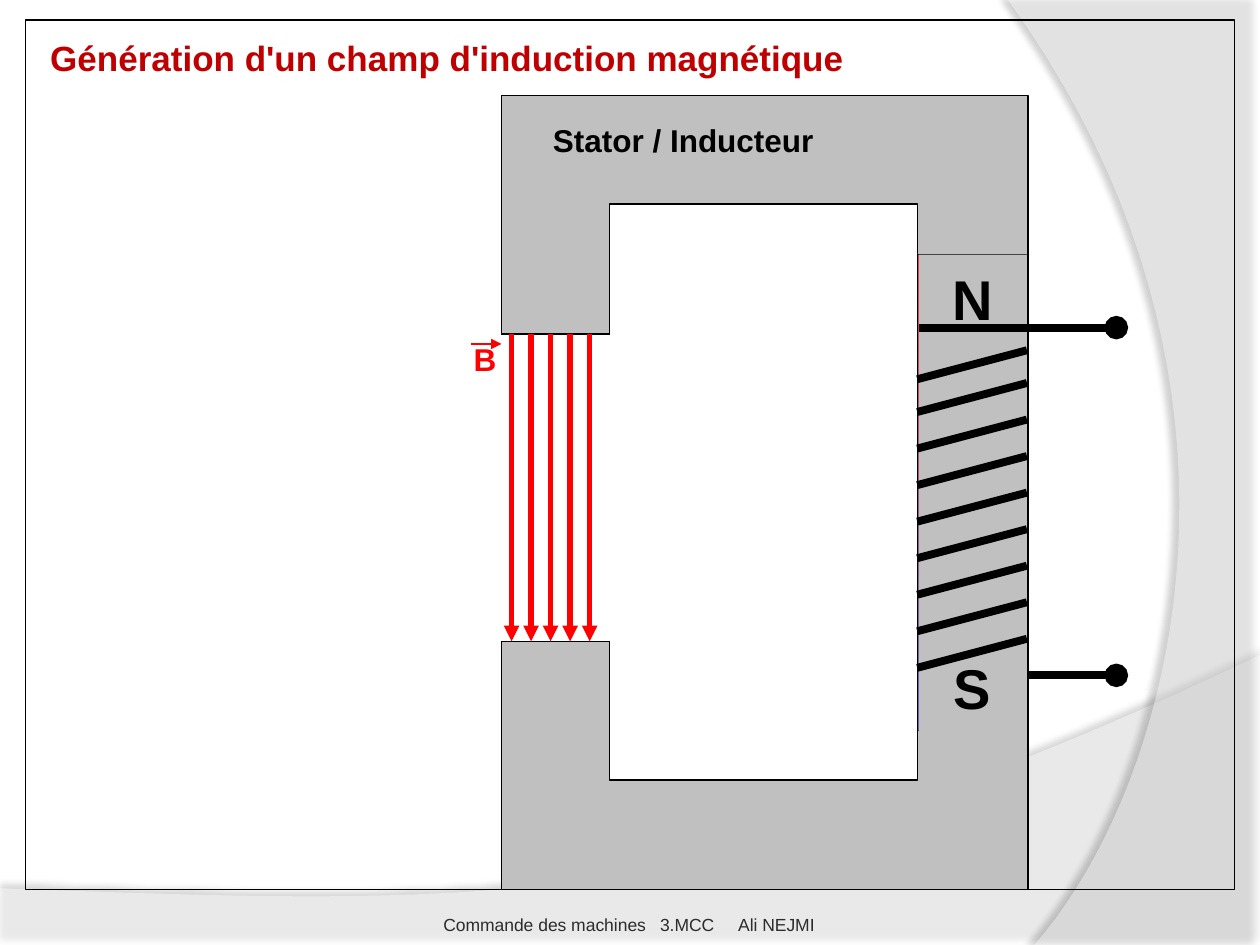
from collections import namedtuple
from dataclasses import dataclass

from pptx import Presentation
from pptx.dml.color import RGBColor
from pptx.enum.shapes import MSO_CONNECTOR, MSO_SHAPE
from pptx.enum.text import MSO_ANCHOR as Anchor, PP_ALIGN as Align
from pptx.oxml.ns import qn
from pptx.oxml.xmlchemy import OxmlElement
from pptx.util import Inches, Pt

Box = namedtuple("Box", "left top width height")


@dataclass(frozen=True)
class Theme:
    """Colours, font and sizes of the slide."""
    font: str = "Arial"
    black: str = "000000"
    white: str = "FFFFFF"
    iron: str = "C0C0C0"
    north: str = "FF0000"
    south: str = "3333CC"
    title: str = "C00000"
    footer: str = "2C2C2C"
    pole_size: int = 32
    title_size: int = 20
    label_size: int = 18
    footer_size: int = 10
    thin: float = 0.75
    field_line: float = 3
    wire: float = 4.5


THEME = Theme()


def rgb(colour):
    """Return the colour object of a hex string."""
    return RGBColor.from_string(colour)


def add_child(parent, tag, **attributes):
    """Append a DrawingML element and return it."""
    child = OxmlElement(tag)
    for name, value in attributes.items():
        child.set(name, str(value))
    parent.append(child)
    return child


def add_rectangle(slide, box, fill=None, line=None):
    """Add a flat rectangle with an optional fill and outline."""
    shape = slide.shapes.add_shape(MSO_SHAPE.RECTANGLE, *map(Inches, box))
    shape.shadow.inherit = False
    if fill:
        shape.fill.solid()
        shape.fill.fore_color.rgb = rgb(fill)
    else:
        shape.fill.background()
    if line:
        shape.line.color.rgb = rgb(line)
        shape.line.width = Pt(THEME.thin)
    else:
        shape.line.fill.background()
    return shape


def add_line(slide, start, end, colour=THEME.black, width=THEME.thin, head=None, tail=None):
    """Add a straight connector with optional ends."""
    connector = slide.shapes.add_connector(MSO_CONNECTOR.STRAIGHT, *map(Inches, (*start, *end)))
    connector.line.color.rgb = rgb(colour)
    connector.line.width = Pt(width)
    properties = connector._element.spPr
    for tag, kind in (("a:headEnd", head), ("a:tailEnd", tail)):
        if kind:
            add_child(properties.find(qn("a:ln")), tag, type=kind)
    add_child(properties, "a:effectLst")
    return connector


def write_text(shape, *lines, size, colour=THEME.black, bold=True, align=Align.LEFT,
               anchor=Anchor.TOP, wrap=False, gap=0, insets=(0.1, 0.05, 0.1, 0.05), tabs=()):
    """Write paragraphs into a shape, with a gap before each but the first."""
    frame = shape.text_frame
    frame.word_wrap = wrap
    frame.vertical_anchor = anchor
    frame.margin_left, frame.margin_top, frame.margin_right, frame.margin_bottom = map(Inches, insets)
    for index, line in enumerate(lines):
        paragraph = frame.add_paragraph() if index else frame.paragraphs[0]
        paragraph.alignment = align
        if index and gap:
            paragraph.space_before = Pt(gap)
        if tabs:
            tab_list = add_child(paragraph._p.get_or_add_pPr(), "a:tabLst")
            for position in tabs:
                add_child(tab_list, "a:tab", pos=int(Inches(position)), algn="l")
        run = paragraph.add_run()
        run.text = line
        run.font.name = THEME.font
        run.font.size = Pt(size)
        run.font.bold = bold
        run.font.color.rgb = rgb(colour)


def add_text(slide, box, text, **style):
    """Add a text box."""
    write_text(slide.shapes.add_textbox(*map(Inches, box)), text, **style)


def curve(start, first, second, end, steps=40):
    """Return the points of a cubic curve after its start."""
    points = []
    for step in range(1, steps + 1):
        t = step / steps
        weights = ((1 - t) ** 3, 3 * t * (1 - t) ** 2, 3 * t * t * (1 - t), t ** 3)
        points.append(tuple(sum(w * p for w, p in zip(weights, axis))
                            for axis in zip(start, first, second, end)))
    return points


def add_wave(slide, points, opacity, shadow_opacity, blur, distance, direction):
    """Add a translucent white outline with a soft shadow."""
    points = [tuple(map(Inches, point)) for point in points]
    builder = slide.shapes.build_freeform(*points[0], scale=1.0)
    builder.add_line_segments(points[1:], close=True)
    shape = builder.convert_to_shape()
    shape.fill.solid()
    shape.fill.fore_color.rgb = rgb(THEME.white)
    shape.line.fill.background()
    shape.shadow.inherit = False
    properties = shape._element.spPr
    add_child(properties.find(".//" + qn("a:srgbClr")), "a:alpha", val=opacity * 1000)
    shadow = add_child(properties.find(qn("a:effectLst")), "a:outerShdw", blurRad=int(Pt(blur)),
                       dist=int(Pt(distance)), dir=direction * 60000, algn="ctr", rotWithShape=0)
    colour = add_child(shadow, "a:srgbClr", val=THEME.black)
    add_child(colour, "a:alpha", val=shadow_opacity * 1000)


def draw_backdrop(slide, box):
    """Draw the bottom and right waves."""
    right, bottom = box.left + box.width, box.top + box.height
    swell = curve((right, 5.2), (5.59, 7.29), (3.91, 7.19), (box.left, 7.05))
    add_wave(slide, [(box.left, bottom), (right, bottom), (right, 5.2), *swell], 45, 35, 4, 3.5, 270)
    arc = curve((8.21, bottom), (9.35, 6.19), (10.18, 3), (8, box.top))
    add_wave(slide, [(right, box.top), (right, bottom), (8.21, bottom), *arc], 40, 45, 4, 4, 180)


def draw_stator(slide, box, gap):
    """Draw the iron core with its window and the air gap."""
    leg = 0.86
    add_rectangle(slide, box, THEME.iron, THEME.black)
    window = Box(box.left + leg, box.top + leg, box.width - 2 * leg - 0.02, box.height - 2 * leg - 0.01)
    add_rectangle(slide, window, THEME.white, THEME.black)
    add_rectangle(slide, gap, THEME.white)
    for y in (gap.top, gap.top + gap.height):
        add_line(slide, (window.left, y), (box.left, y))


def draw_field(slide, box):
    """Draw the evenly spaced induction lines and the B vector label."""
    count = 5
    for index in range(count):
        x = box.left + index * box.width / (count - 1)
        add_line(slide, (x, box.top), (x, box.top + box.height), THEME.north,
                 THEME.field_line, tail="triangle")
    add_text(slide, Box(box.left - 0.4, box.top, 0.38, 0.4), "B", size=THEME.label_size, colour=THEME.north)
    add_line(slide, (box.left - 0.32, box.top + 0.08), (box.left - 0.08, box.top + 0.08),
             THEME.north, tail="triangle")


def draw_coil(slide, box):
    """Draw the wound pole piece with its turns and terminals."""
    magnet = add_rectangle(slide, box, THEME.iron, THEME.black)
    magnet.fill.gradient()
    magnet.fill.gradient_angle = 270
    for stop, position, colour in zip(magnet.fill.gradient_stops, (0, 1), (THEME.north, THEME.south)):
        stop.position = position
        stop.color.rgb = rgb(colour)
    left, right = box.left, box.left + box.width
    terminal = {"width": THEME.wire, "head": "oval"}
    add_line(slide, (8.86, box.top + 3.34), (left + 0.01, box.top + 3.34), **terminal)
    core = add_rectangle(slide, Box(left + 0.01, box.top, box.width - 0.01, box.height), THEME.iron)
    write_text(core, "N", "S", size=THEME.pole_size, align=Align.CENTER, anchor=Anchor.MIDDLE, gap=184)
    add_line(slide, (8.86, box.top + 0.58), (left + 0.01, box.top + 0.58), **terminal)
    for y in [2.78, *(3.04 + 0.29 * turn for turn in range(8))]:
        add_line(slide, (right, y), (left, y + 0.23), width=THEME.wire)


def draw_labels(slide, box):
    """Draw the frame, the title, the stator label and the footer."""
    add_text(slide, Box(4.29, 0.91, 2.27, 0.4), "Stator / Inducteur", size=THEME.label_size)
    add_rectangle(slide, box, line=THEME.black)
    add_text(slide, Box(3.42, box.top + box.height - 0.04, 3.17, 0.4),
             "Commande des machines\t3.MCC\tAli NEJMI", size=THEME.footer_size, colour=THEME.footer,
             bold=False, anchor=Anchor.BOTTOM, wrap=True, insets=(0.1, 0.05, 0, 0), tabs=(1.72, 2.34))
    add_text(slide, Box(box.left + 0.1, box.top + 0.08, 6.55, 0.44),
             "Génération d'un champ d'induction magnétique", size=THEME.title_size,
             colour=THEME.title, anchor=Anchor.MIDDLE)


def main():
    """Build the slide and save it."""
    presentation = Presentation()
    presentation.slide_width, presentation.slide_height = Inches(10), Inches(7.5)
    slide = presentation.slides.add_slide(presentation.slide_layouts[6])
    draw_backdrop(slide, Box(0, 0, 10, 7.5))
    draw_stator(slide, Box(3.98, 0.76, 4.18, 6.3), Box(3.82, 2.65, 1.18, 2.44))
    draw_coil(slide, Box(7.28, 2.02, 0.87, 3.78))
    draw_field(slide, Box(4.06, 2.65, 0.62, 2.44))
    draw_labels(slide, Box(0.2, 0.16, 9.6, 6.9))
    presentation.save("out.pptx")


if __name__ == "__main__":
    main()
